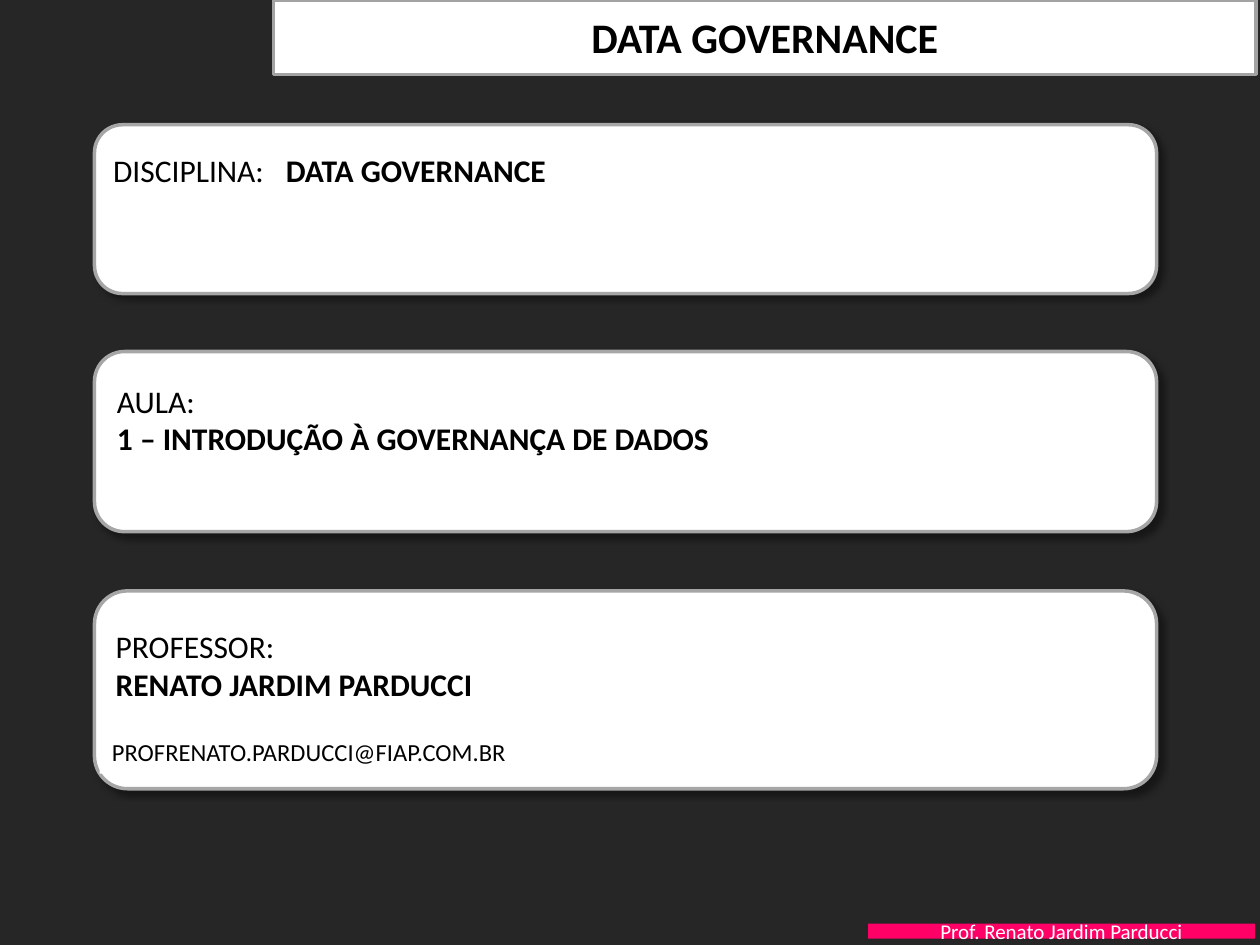
from typing import NamedTuple

from lxml import etree
from pptx import Presentation
from pptx.dml.color import RGBColor
from pptx.enum.shapes import MSO_SHAPE
from pptx.enum.text import MSO_ANCHOR, MSO_AUTO_SIZE, PP_ALIGN
from pptx.oxml import parse_xml
from pptx.oxml.ns import nsdecls, qn
from pptx.util import Inches, Pt

RECT, ROUND = MSO_SHAPE.RECTANGLE, MSO_SHAPE.ROUNDED_RECTANGLE
LEFT, CENTER = PP_ALIGN.LEFT, PP_ALIGN.CENTER
TOP, MIDDLE = MSO_ANCHOR.TOP, MSO_ANCHOR.MIDDLE
NO_FIT = MSO_AUTO_SIZE.NONE

DARK, WHITE, BLACK = "262626", "FFFFFF", "000000"
PINK, GRAY, EDGE = "FF0066", "A6A6A6", "A3A3A3"
CARD_X, CARD_W = 0.75, 8.43
TAB = 1.37


class Run(NamedTuple):
    text: str
    bold: bool = False


class Label(NamedTuple):
    x: float
    y: float
    w: float
    h: float
    lines: list[list[Run]]
    size: int = 18


class Card(NamedTuple):
    y: float
    h: float
    labels: list[Label]


CARDS = [
    Card(0.99, 1.34, [
        Label(0.8, 1.15, 3.67, 0.4,
              [[Run("DISCIPLINA:\t"), Run("DATA GOVERNANCE", True)]]),
    ]),
    Card(2.79, 1.43, [
        Label(0.83, 2.98, 8.19, 0.71,
              [[Run("AULA:")],
               [Run("1 – INTRODUÇÃO À GOVERNANÇA DE DADOS", True)]]),
    ]),
    Card(4.69, 1.57, [
        Label(0.82, 4.93, 3.23, 0.71,
              [[Run("PROFESSOR:")], [Run("RENATO JARDIM PARDUCCI", True)]]),
        Label(0.79, 5.8, 3.35, 0.34,
              [[Run("PROFRENATO.PARDUCCI@FIAP.COM.BR")]], 14),
    ]),
]


def rgb(code: str) -> RGBColor:
    return RGBColor.from_string(code)


def paint(shape, fill: str, line: str | None = None) -> None:
    shape.fill.solid()
    shape.fill.fore_color.rgb = rgb(fill)
    if line:
        shape.line.color.rgb = rgb(line)
        shape.line.width = Pt(2)
    else:
        shape.line.fill.background()


def add_box(slide, kind, x: float, y: float, w: float, h: float,
            fill: str = WHITE, line: str | None = None):
    box = slide.shapes.add_shape(kind, Inches(x), Inches(y),
                                 Inches(w), Inches(h))
    box.shadow.inherit = False
    paint(box, fill, line)
    return box


def add_shadow(shape) -> None:
    """Drop a soft black shadow to the lower right."""
    effects = shape._element.spPr.find(qn("a:effectLst"))
    effects.append(parse_xml(
        f'<a:outerShdw {nsdecls("a")} blurRad="{Pt(4)}" dist="{Pt(3)}" '
        'dir="2700000" algn="tl" rotWithShape="0"><a:srgbClr val="000000">'
        '<a:alpha val="40000"/></a:srgbClr></a:outerShdw>'))


def add_tab(para, pos: float) -> None:
    tabs = etree.SubElement(para._p.get_or_add_pPr(), qn("a:tabLst"))
    etree.SubElement(tabs, qn("a:tab"), pos=str(Inches(pos)), algn="l")


def write(shape, lines: list[list[Run]], *, size: int, color: str = BLACK,
          align=LEFT, anchor=TOP) -> None:
    frame = shape.text_frame
    frame.word_wrap = True
    frame.auto_size = NO_FIT
    frame.vertical_anchor = anchor
    for i, line in enumerate(lines):
        para = frame.add_paragraph() if i else frame.paragraphs[0]
        para.alignment = align
        if any("\t" in part.text for part in line):
            add_tab(para, TAB)
        for part in line:
            run = para.add_run()
            run.text = part.text
            font = run.font
            font.name, font.size, font.bold = "Calibri", Pt(size), part.bold
            font.color.rgb = rgb(color)


def add_title(slide) -> None:
    title = slide.shapes.title
    title.left, title.top = Inches(2.17), Inches(0)
    title.width, title.height = Inches(7.8), Inches(0.59)
    paint(title, WHITE, EDGE)
    write(title, [[Run("DATA GOVERNANCE", True)]], size=24,
          align=CENTER, anchor=MIDDLE)


def add_card(slide, card: Card) -> None:
    add_shadow(add_box(slide, ROUND, CARD_X, card.y, CARD_W, card.h,
                       line=GRAY))
    for label in card.labels:
        box = add_box(slide, RECT, label.x, label.y, label.w, label.h)
        write(box, label.lines, size=label.size)


def main() -> None:
    deck = Presentation()
    deck.slide_width, deck.slide_height = Inches(10), Inches(7.5)
    slide = deck.slides.add_slide(deck.slide_layouts[5])
    back = slide.background.fill
    back.solid()
    back.fore_color.rgb = rgb(DARK)

    add_title(slide)
    footer = add_box(slide, RECT, 6.89, 7.33, 3.07, 0.12, PINK)
    write(footer, [[Run("Prof. Renato Jardim Parducci")]], size=12,
          color=WHITE, align=CENTER, anchor=MIDDLE)
    for card in CARDS:
        add_card(slide, card)
    deck.save("out.pptx")


if __name__ == "__main__":
    main()
